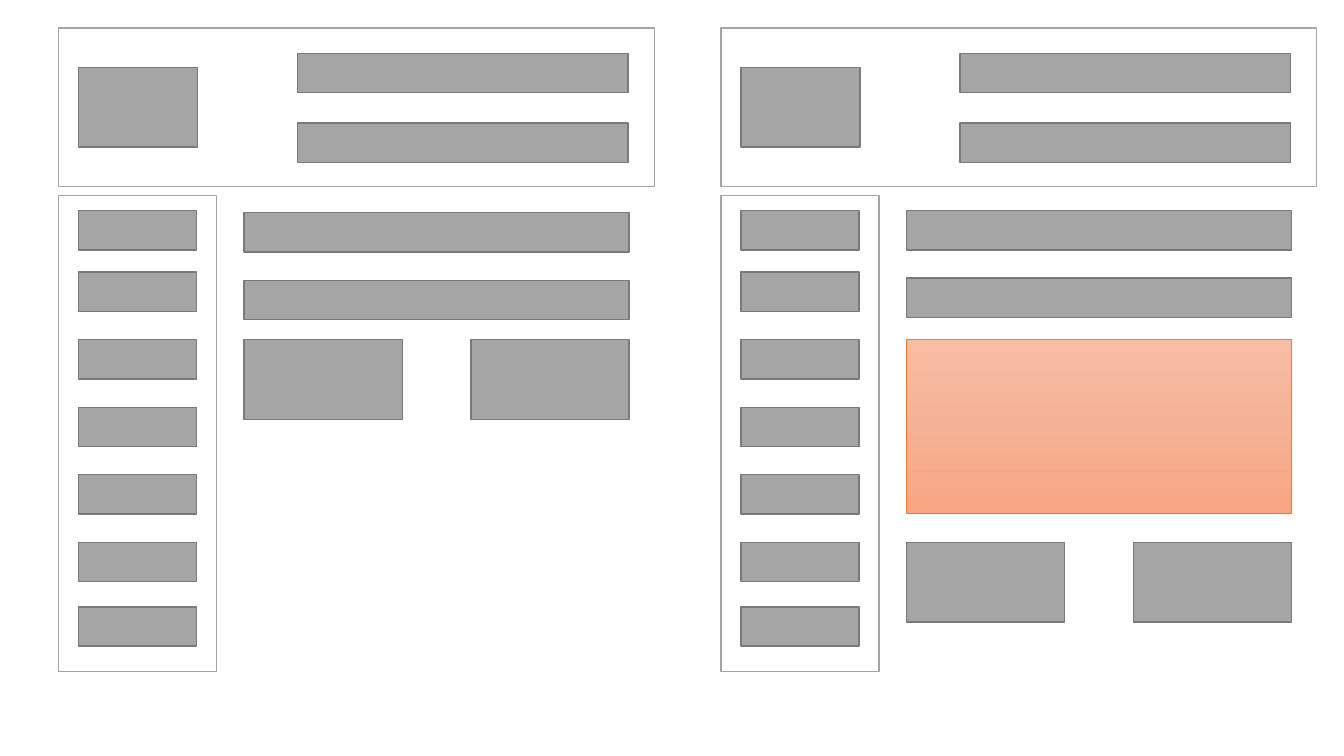
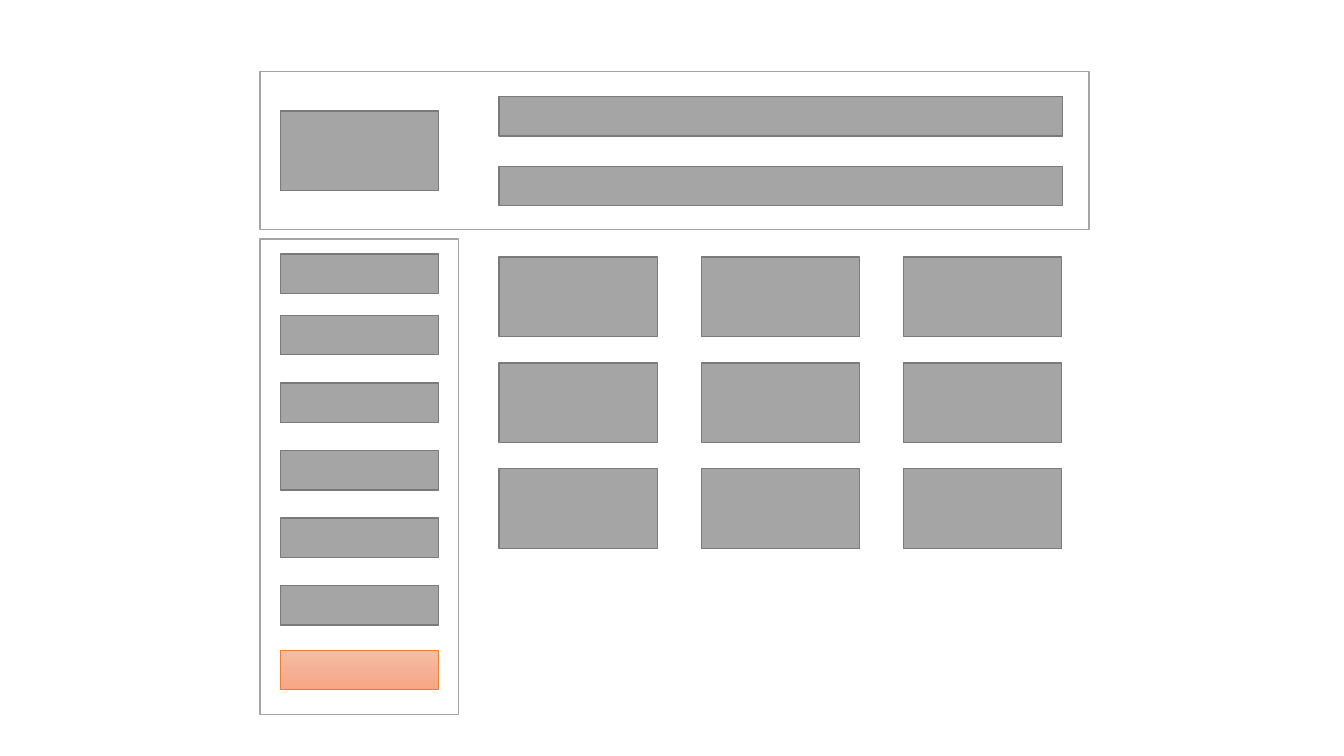
from copy import deepcopy

from pptx import Presentation
from pptx.dml.color import RGBColor
from pptx.enum.shapes import MSO_SHAPE
from pptx.oxml.ns import qn
from pptx.util import Inches, Pt

WHITE = RGBColor(0xFF, 0xFF, 0xFF)
GRAY = RGBColor(0xA5, 0xA5, 0xA5)
DARK = RGBColor(0x7A, 0x7A, 0x7A)
ORANGE = RGBColor(0xED, 0x7D, 0x31)
PEACH = (
    RGBColor(0xF7, 0xBD, 0xA5),
    RGBColor(0xF5, 0xB1, 0x96),
    RGBColor(0xF8, 0xA5, 0x82),
)

BAR = 0.39
TILE_W, TILE_H = 1.57, 0.79
ROW = 1.05
PAD = 0.2
HEAD = 1.57
SIDE_H = 4.72
SIDE_TOP = 1.66
MENU = (0.15, 0.76, 1.43, 2.1, 2.77, 3.44, 4.08)


def add_rect(slide, x, y, w, h, line=DARK, weight=1):
    rect = slide.shapes.add_shape(
        MSO_SHAPE.RECTANGLE, Inches(x), Inches(y), Inches(w), Inches(h))
    rect.shadow.inherit = False
    rect.line.color.rgb = line
    rect.line.width = Pt(weight)
    return rect


def add_block(slide, x, y, w, h):
    rect = add_rect(slide, x, y, w, h)
    rect.fill.solid()
    rect.fill.fore_color.rgb = GRAY


def add_frame(slide, x, y, w, h):
    rect = add_rect(slide, x, y, w, h, GRAY)
    rect.fill.solid()
    rect.fill.fore_color.rgb = WHITE


def add_accent(slide, x, y, w, h):
    rect = add_rect(slide, x, y, w, h, ORANGE, 0.5)
    rect.fill.gradient()
    rect.fill.gradient_angle = 270
    stops = rect._element.spPr.find(qn("a:gradFill")).find(qn("a:gsLst"))
    stops.insert(1, deepcopy(stops[0]))
    for i, stop in enumerate(rect.fill.gradient_stops):
        stop.position = i / 2
        stop.color.rgb = PEACH[i]


def add_header(slide, x, y, w, logo_w):
    add_frame(slide, x, y, w, HEAD)
    add_block(slide, x + PAD, y + (HEAD - TILE_H) / 2, logo_w, TILE_H)
    for top in (0.25, 0.94):
        add_block(slide, x + 2.37, y + top, w - 2.63, BAR)


def add_menu(slide, x, y, w, last=add_block):
    add_frame(slide, x, y, w, SIDE_H)
    for top in MENU:
        draw = last if top == MENU[-1] else add_block
        draw(slide, x + PAD, y + top, w - 2 * PAD, BAR)


def add_tiles(slide, x, y, w, cols, rows=1):
    step = (w - TILE_W) / (cols - 1)
    for row in range(rows):
        for col in range(cols):
            add_block(slide, x + col * step, y + row * ROW, TILE_W, TILE_H)


def add_page(slide, x, y, bar_top, tile_top, banner=False):
    add_header(slide, x, y, 5.91, 1.18)
    add_menu(slide, x, y + SIDE_TOP, 1.57)
    left, wide = x + 1.84, 3.82
    for i in range(2):
        add_block(slide, left, y + bar_top + i * 0.67, wide, BAR)
    if banner:
        add_accent(slide, left, y + 3.09, wide, 1.72)
    add_tiles(slide, left, y + tile_top, wide, 2)


def add_gallery(slide, x, y):
    add_header(slide, x, y, 8.22, 1.57)
    add_menu(slide, x, y + SIDE_TOP, 1.97, add_accent)
    add_tiles(slide, x + 2.37, y + 1.84, 5.58, 3, 3)


def main():
    deck = Presentation()
    deck.slide_width = Inches(13.33)
    deck.slide_height = Inches(7.5)
    blank = deck.slide_layouts[6]

    pages = deck.slides.add_slide(blank)
    add_page(pages, 0.58, 0.28, 1.83, 3.09)
    add_page(pages, 7.15, 0.28, 1.81, 5.1, banner=True)

    add_gallery(deck.slides.add_slide(blank), 2.58, 0.71)
    deck.save("out.pptx")


if __name__ == "__main__":
    main()
